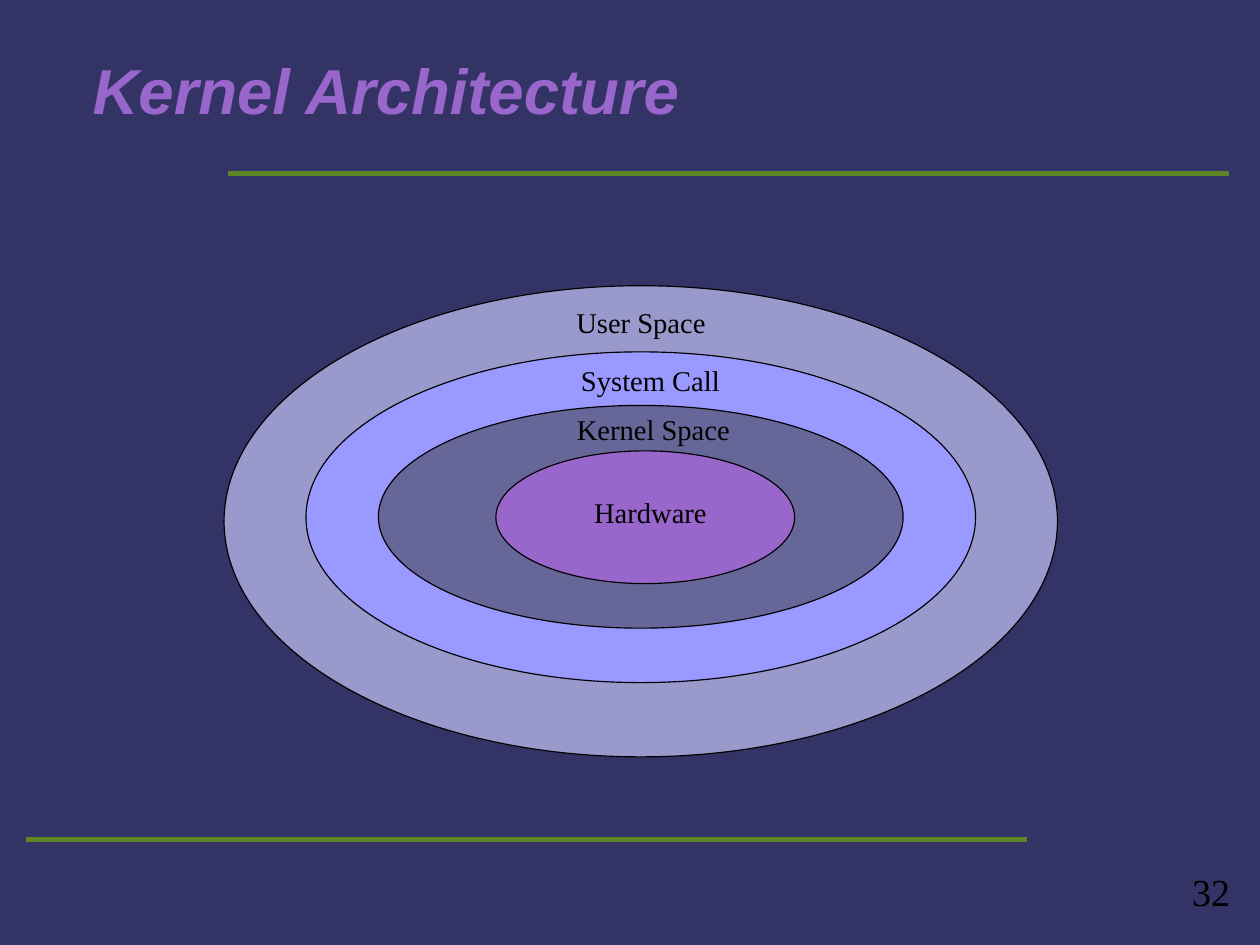
from pptx import Presentation
from pptx import util as u
from pptx.dml.color import RGBColor
from pptx.enum import shapes, text
from pptx.oxml import xmlchemy

NAVY = RGBColor(0x33, 0x33, 0x66)
GREEN = RGBColor(0x5C, 0x85, 0x26)
PURPLE = RGBColor(0x99, 0x66, 0xCC)
LAVENDER = RGBColor(0x99, 0x99, 0xCC)
PERIWINKLE = RGBColor(0x99, 0x99, 0xFF)
SLATE = RGBColor(0x66, 0x66, 0x99)
BLACK = RGBColor(0, 0, 0)


class KernelSlide:
    """Draws styled elements on one slide, with lengths in centimetres."""

    heading_font = "Arial"
    label_font = "Times New Roman"
    line_spacing = 0.93

    def __init__(self, deck):
        self.slide = deck.slides.add_slide(deck.slide_layouts[5])
        self.slide.background.fill.solid()
        self.slide.background.fill.fore_color.rgb = NAVY

    def set_wording(self, frame, wording, font, size, color, align,
                    bold=None, italic=None):
        frame.text = wording
        paragraph = frame.paragraphs[0]
        paragraph.alignment = align
        paragraph.line_spacing = self.line_spacing
        for run in paragraph.runs:
            run.font.name = font
            run.font.size = u.Pt(size)
            run.font.color.rgb = color
            run.font.bold = bold
            run.font.italic = italic

    def clear_margins(self, frame):
        frame.margin_left = frame.margin_right = u.Cm(0)
        frame.margin_top = frame.margin_bottom = u.Cm(0)

    def title(self, wording, left, top, width, height):
        heading = self.slide.shapes.title
        heading.left, heading.top = u.Cm(left), u.Cm(top)
        heading.width, heading.height = u.Cm(width), u.Cm(height)
        frame = heading.text_frame
        self.clear_margins(frame)
        frame.auto_size = text.MSO_AUTO_SIZE.NONE
        frame.vertical_anchor = text.MSO_ANCHOR.MIDDLE
        self.set_wording(frame, wording, self.heading_font, 40, PURPLE,
                         text.PP_ALIGN.LEFT, bold=True, italic=True)

    def rule(self, left, top, width):
        divider = self.slide.shapes.add_connector(
            shapes.MSO_CONNECTOR.STRAIGHT,
            u.Cm(left), u.Cm(top), u.Cm(left + width), u.Cm(top))
        divider.line.color.rgb = GREEN
        divider.line.width = u.Pt(2.89)
        divider._element.spPr.append(xmlchemy.OxmlElement("a:effectLst"))

    def ring(self, color, left, top, width, height):
        layer = self.slide.shapes.add_shape(
            shapes.MSO_SHAPE.OVAL,
            u.Cm(left), u.Cm(top), u.Cm(width), u.Cm(height))
        layer.shadow.inherit = False
        layer.fill.solid()
        layer.fill.fore_color.rgb = color
        layer.line.color.rgb = BLACK
        layer.line.width = u.Pt(0.75)

    def label(self, wording, left, top, width):
        caption = self.slide.shapes.add_textbox(
            u.Cm(left), u.Cm(top), u.Cm(width), u.Cm(0.97))
        caption.text_frame.word_wrap = True
        self.set_wording(caption.text_frame, wording, self.label_font, 18,
                         BLACK, text.PP_ALIGN.CENTER)

    def page_number(self, wording, left, top):
        number = self.slide.shapes.add_textbox(
            u.Cm(left), u.Cm(top), u.Cm(0.85), u.Cm(0.94))
        self.clear_margins(number.text_frame)
        number.text_frame.word_wrap = False
        self.set_wording(number.text_frame, wording, self.label_font, 24,
                         BLACK, text.PP_ALIGN.LEFT)


def main():
    deck = Presentation()
    deck.slide_width, deck.slide_height = u.Cm(28), u.Cm(21)
    kernel = KernelSlide(deck)

    kernel.page_number("32", 26.49, 19.38)
    for left, top in ((5.06, 3.85), (0.57, 18.65)):
        kernel.rule(left, top, 22.25)
    kernel.title("Kernel Architecture", 2.06, 0.33, 23.9, 3.5)

    layers = (
        (LAVENDER, 4.98, 6.35, 18.52, 10.47),
        (PERIWINKLE, 6.8, 7.82, 14.88, 7.35),
        (SLATE, 8.41, 9.01, 11.66, 4.95),
        (PURPLE, 11.02, 10.02, 6.64, 2.95),
    )
    for layer in layers:
        kernel.ring(*layer)

    captions = (
        ("User Space", 11.63, 6.71, 5.23),
        ("System Call", 11.84, 8, 5.23),
        ("Kernel Space", 11.56, 9.09, 5.92),
        ("Hardware", 11.84, 10.94, 5.23),
    )
    for caption in captions:
        kernel.label(*caption)

    deck.save("out.pptx")


if __name__ == "__main__":
    main()
